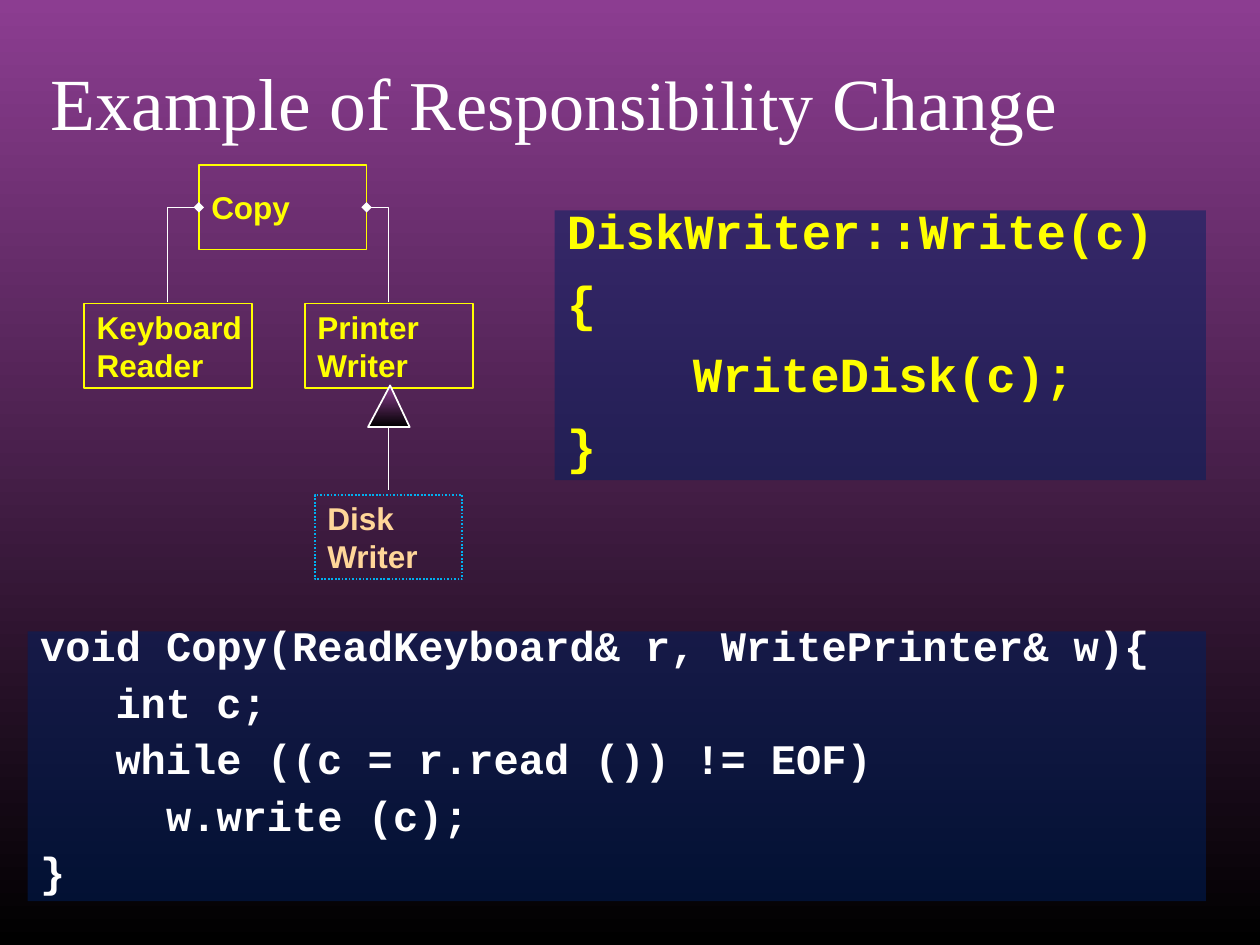
from dataclasses import dataclass

from lxml.etree import SubElement
from pptx import Presentation
from pptx.dml.color import RGBColor
from pptx.enum.dml import MSO_LINE
from pptx.enum.shapes import MSO_CONNECTOR, MSO_SHAPE
from pptx.enum.text import MSO_ANCHOR, MSO_AUTO_SIZE, PP_ALIGN
from pptx.oxml.ns import qn
from pptx.util import Cm, Pt


@dataclass(frozen=True)
class Theme:
    white: str = "FFFFFF"
    yellow: str = "FFFF00"
    peach: str = "FFD699"
    blue: str = "00B0F0"
    navy: str = "002060"
    black: str = "000000"
    purple: str = "8C3D91"
    title_font: str = "Times New Roman"
    label_font: str = "Arial"
    code_font: str = "Courier New"
    label_size: int = 18
    code_size: int = 24
    code_large: int = 28


THEME = Theme()
BOX_W, BOX_H = 3.38, 1.7
COPY_X, COPY_Y = 4.01, 3.33
CLASS_Y = 6.12


def rgb(color):
    return RGBColor.from_string(color)


def add_text(p, text, *, font, size, color, bold=False):
    r = p.add_run()
    r.text = text
    r.font.name = font
    r.font.size = Pt(size)
    r.font.bold = bold
    r.font.color.rgb = rgb(color)


def fill_gradient(fill):
    """Black at the bottom rising to purple at the top."""
    fill.gradient()
    fill.gradient_angle = 90
    for stop, color, position in zip(
            fill.gradient_stops, (THEME.black, THEME.purple), (0, 1)):
        stop.color.rgb = rgb(color)
        stop.position = position


def set_line(line, color, width):
    line.color.rgb = rgb(color)
    line.width = Pt(width)


def add_preset(shapes, kind, x, y, w, h):
    sp = shapes.add_shape(kind, Cm(x), Cm(y), Cm(w), Cm(h))
    sp.shadow.inherit = False
    return sp


def add_title(slide):
    title = slide.shapes.title
    title.left, title.top, title.width, title.height = (
        Cm(0.76), Cm(0.76), Cm(22.86), Cm(3.18))
    tf = title.text_frame
    tf.vertical_anchor = MSO_ANCHOR.TOP
    tf.margin_top = Cm(0.32)
    tf.word_wrap = True
    p = tf.paragraphs[0]
    p.alignment = PP_ALIGN.LEFT
    for text, size in (("Example of ", 42), ("Responsibility", 40),
                       (" ", 44), ("Change", 42)):
        add_text(p, text, font=THEME.title_font, size=size, color=THEME.white)


def add_class_box(slide, lines, x, y, w=BOX_W, *, color=THEME.yellow,
                  border=THEME.yellow, dash=None):
    sp = add_preset(slide.shapes, MSO_SHAPE.RECTANGLE, x, y, w, BOX_H)
    sp.fill.background()
    set_line(sp.line, border, 1)
    if dash:
        sp.line.dash_style = dash
    tf = sp.text_frame
    tf.word_wrap = False
    tf.vertical_anchor = MSO_ANCHOR.MIDDLE
    for i, text in enumerate(lines):
        p = tf.add_paragraph() if i else tf.paragraphs[0]
        p.alignment = PP_ALIGN.LEFT
        add_text(p, text, font=THEME.label_font, size=THEME.label_size,
                 color=color, bold=True)


def add_code(slide, lines, x, y, w, *, size, color, line_spacing, before):
    """Half-transparent panel; lines are (indent in cm, text) pairs."""
    sp = add_preset(slide.shapes, MSO_SHAPE.RECTANGLE, x, y, w, 5.44)
    sp.fill.solid()
    sp.fill.fore_color.rgb = rgb(THEME.navy)
    clr = sp.fill._xPr.find(qn("a:solidFill"))[0]
    SubElement(clr, qn("a:alpha"), val="50000")
    sp.line.fill.background()
    tf = sp.text_frame
    tf.word_wrap = True
    tf.auto_size = MSO_AUTO_SIZE.SHAPE_TO_FIT_TEXT
    tf.vertical_anchor = MSO_ANCHOR.TOP
    for i, (indent, text) in enumerate(lines):
        p = tf.add_paragraph() if i else tf.paragraphs[0]
        p.alignment = PP_ALIGN.LEFT
        p.line_spacing = line_spacing
        p.space_before = Pt(before)
        p._p.get_or_add_pPr().set("marL", str(Cm(indent)))
        add_text(p, text, font=THEME.code_font, size=size, color=color,
                 bold=True)


def add_link(shapes, x1, y1, x2, y2, kind=MSO_CONNECTOR.STRAIGHT):
    cxn = shapes.add_connector(kind, Cm(x1), Cm(y1), Cm(x2), Cm(y2))
    set_line(cxn.line, THEME.white, 0.75)
    SubElement(cxn._element.spPr, qn("a:effectLst"))
    return cxn


def add_composition(slide, x1, x2):
    """One-bend link that starts with a diamond on the side of Copy."""
    cxn = add_link(slide.shapes, x1, COPY_Y + BOX_H / 2, x2, CLASS_Y - 0.04,
                   MSO_CONNECTOR.ELBOW)
    cxn._element.spPr.find(qn("a:prstGeom")).set("prst", "bentConnector2")
    SubElement(cxn.line._get_or_add_ln(), qn("a:headEnd"), type="diamond")


def add_inheritance(slide):
    group = slide.shapes.add_group_shape()
    head = add_preset(group.shapes, MSO_SHAPE.ISOSCELES_TRIANGLE,
                      7.42, 7.77, 0.84, 0.84)
    head.adjustments[0] = 0.53
    fill_gradient(head.fill)
    set_line(head.line, THEME.white, 1)
    add_link(group.shapes, 7.83, 8.61, 7.83, 9.88)


def main():
    prs = Presentation()
    prs.slide_width, prs.slide_height = Cm(25.4), Cm(19.05)
    slide = prs.slides.add_slide(prs.slide_layouts[5])
    fill_gradient(slide.background.fill)

    add_title(slide)
    add_code(slide, [(0, "DiskWriter::Write(c)"), (0, "{"),
                     (2.54, "WriteDisk(c);"), (0, "}")],
             11.18, 4.24, 13.13, size=THEME.code_large, color=THEME.yellow,
             line_spacing=0.7, before=17.5)

    add_class_box(slide, ["Copy"], COPY_X, COPY_Y)
    add_composition(slide, COPY_X, 3.38)
    add_composition(slide, COPY_X + BOX_W, 7.83)
    add_class_box(slide, ["Keyboard", "Reader"], 1.7, CLASS_Y)
    add_class_box(slide, ["Printer", "Writer"], 6.15, CLASS_Y)
    add_inheritance(slide)
    add_class_box(slide, ["Disk", "Writer"], 6.35, 9.98, 2.97,
                  color=THEME.peach, border=THEME.blue,
                  dash=MSO_LINE.ROUND_DOT)

    add_code(slide, [(0, "void Copy(ReadKeyboard& r, WritePrinter& w){"),
                     (1.52, "int c;"),
                     (1.52, "while ((c = r.read ()) != EOF)"),
                     (2.54, "w.write (c);"), (0, "}")],
             0.56, 12.73, 23.75, size=THEME.code_size, color=THEME.white,
             line_spacing=0.6, before=15)

    prs.save("out.pptx")


if __name__ == "__main__":
    main()
